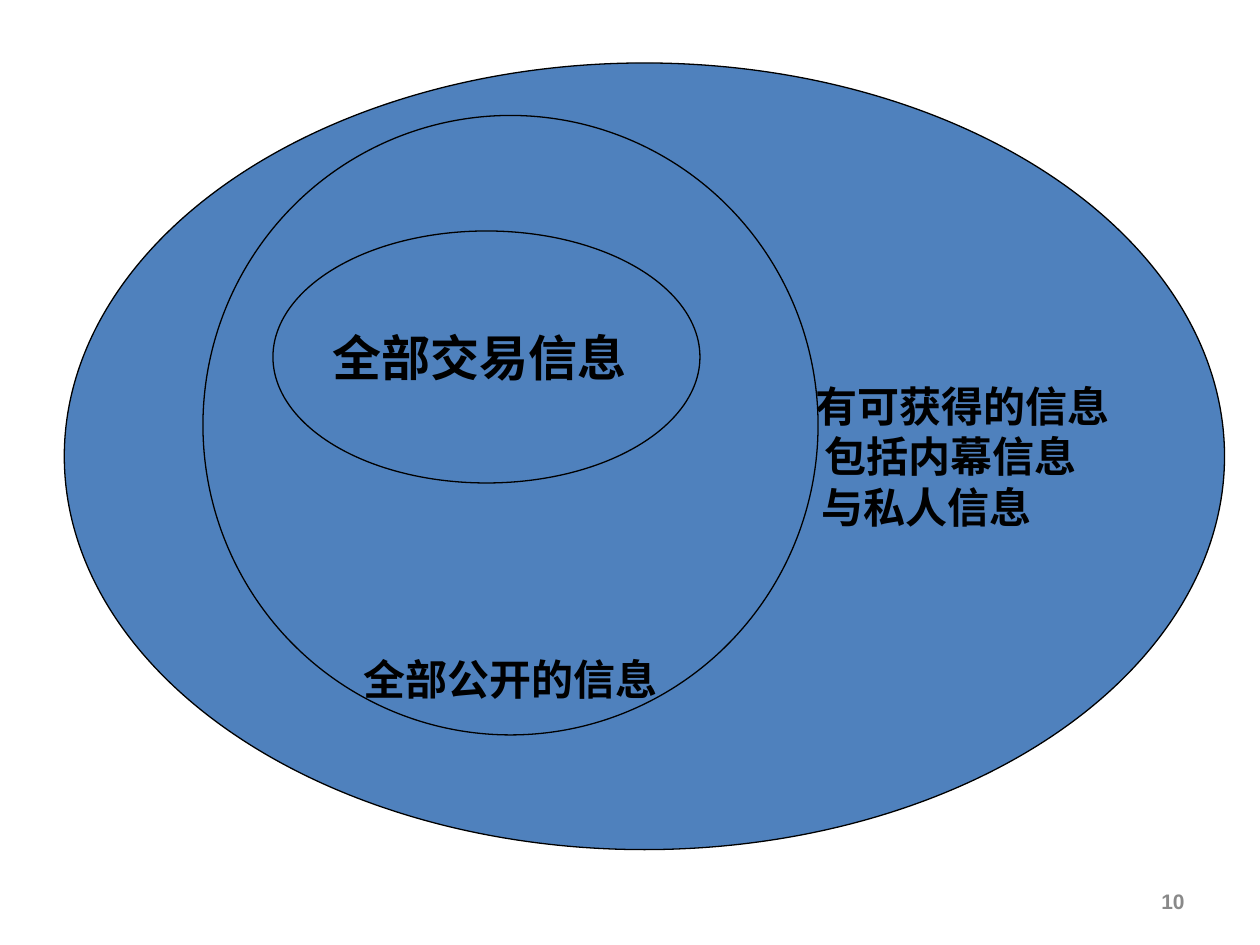
from dataclasses import dataclass

from pptx import Presentation
from pptx.dml.color import RGBColor
from pptx.enum import shapes, text
from pptx.util import Pt


@dataclass(frozen=True)
class Theme:
    font: str = "Arial"
    blue: RGBColor = RGBColor(0x4F, 0x81, 0xBD)
    black: RGBColor = RGBColor(0, 0, 0)
    gray: RGBColor = RGBColor(0x89, 0x89, 0x89)
    core: int = 28
    label: int = 24
    number: int = 12


theme = Theme()


def add_ellipse(left, top, width, height):
    sp = s.shapes.add_shape(shapes.MSO_SHAPE.OVAL, Pt(left), Pt(top), Pt(width), Pt(height))
    sp.shadow.inherit = False
    sp.fill.solid()
    sp.fill.fore_color.rgb = theme.blue
    sp.line.color.rgb = theme.black
    sp.line.width = Pt(0.75)
    return sp


def write(sp, lines, size, color, align, wrap=True):
    tf = sp.text_frame
    tf.word_wrap = wrap
    tf.vertical_anchor = text.MSO_ANCHOR.MIDDLE
    tf.text = "\n".join(lines)
    for p in tf.paragraphs:
        p.alignment = align
        p.font.name = theme.font
        p.font.size = Pt(size)
        p.font.bold = True
        p.font.color.rgb = color
    return tf


prs = Presentation()
prs.slide_width, prs.slide_height = Pt(720), Pt(540)
s = prs.slides.add_slide(prs.slide_layouts[6])

number = s.shapes.add_textbox(Pt(516), Pt(500.5), Pt(168), Pt(28.75))
write(number, ["10"], theme.number, theme.gray, text.PP_ALIGN.RIGHT)

add_ellipse(36.75, 36, 663, 449.5)
available = s.shapes.add_textbox(Pt(466), Pt(200), Pt(196), Pt(121))
tf = write(available, ["有可获得的信息", "包括内幕信息", "与私人信息"],
           theme.label, theme.black, text.PP_ALIGN.LEFT)
tf.margin_left = 0
for p, indent in zip(tf.paragraphs, (0, 5, 3.5)):
    p._p.get_or_add_pPr().set("marL", str(Pt(indent)))

add_ellipse(116, 66, 351.5, 354)
public = s.shapes.add_textbox(Pt(191.5), Pt(370), Pt(200), Pt(36))
write(public, ["全部公开的信息"], theme.label, theme.black, text.PP_ALIGN.CENTER)

trading = add_ellipse(156, 132, 244, 144)
tf = write(trading, ["全部交易信息"], theme.core, theme.black, text.PP_ALIGN.CENTER, wrap=False)
tf.margin_right = Pt(15)

prs.save("out.pptx")
